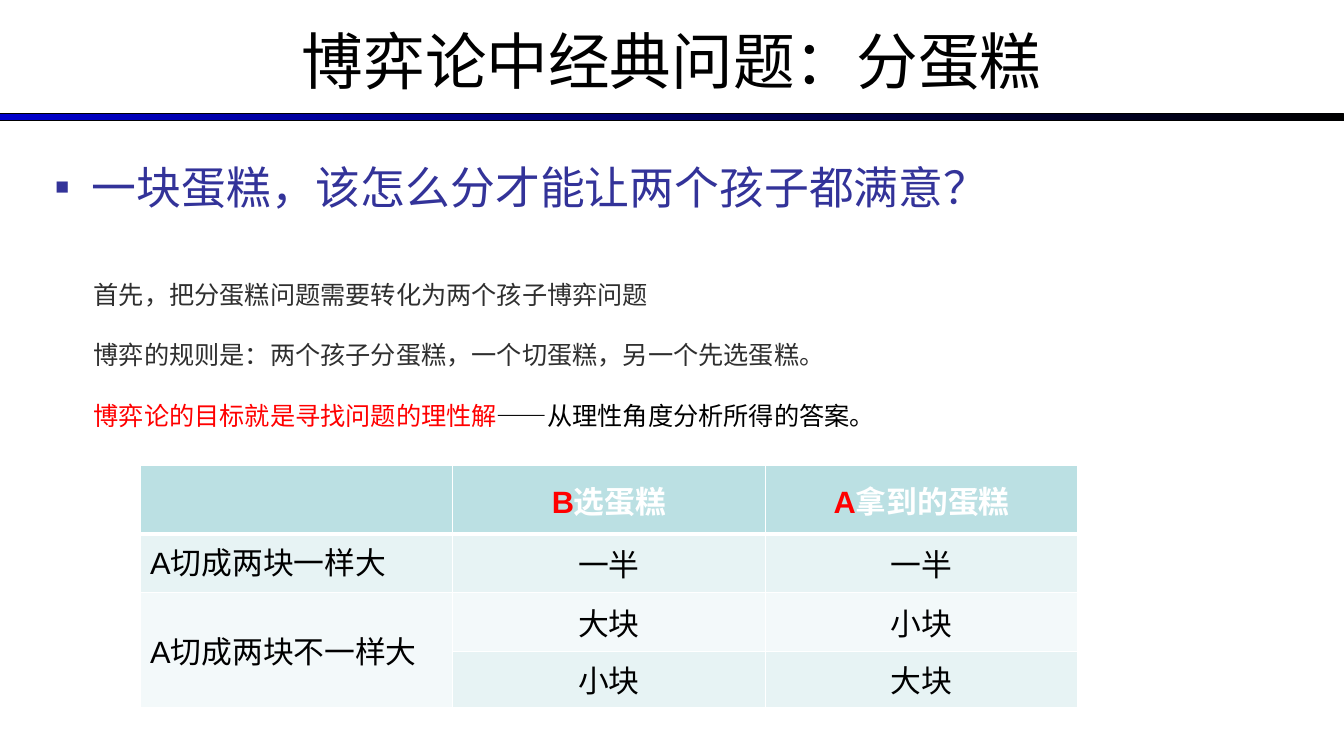
from lxml import etree
from pptx import Presentation
from pptx.dml.color import RGBColor
from pptx.enum.shapes import MSO_SHAPE
from pptx.enum.text import MSO_ANCHOR, MSO_AUTO_SIZE, PP_ALIGN
from pptx.oxml.ns import qn
from pptx.util import Inches, Pt

RECTANGLE = MSO_SHAPE.RECTANGLE
TOP, MIDDLE = MSO_ANCHOR.TOP, MSO_ANCHOR.MIDDLE
LEFT, CENTER = PP_ALIGN.LEFT, PP_ALIGN.CENTER
NO_AUTOFIT = MSO_AUTO_SIZE.NONE

BLACK = RGBColor(0x00, 0x00, 0x00)
WHITE = RGBColor(0xFF, 0xFF, 0xFF)
RED = RGBColor(0xFF, 0x00, 0x00)
BLUE = RGBColor(0x00, 0x00, 0xCC)
INDIGO = RGBColor(0x33, 0x33, 0x99)
GREY = RGBColor(0x2F, 0x2F, 0x2F)
HEADER_TEAL = RGBColor(0xBB, 0xE0, 0xE3)
BAND_DARK = RGBColor(0xE7, 0xF3, 0xF4)
BAND_LIGHT = RGBColor(0xF3, 0xF9, 0xFA)

RULES = [
    [("首先，把分蛋糕问题需要转化为两个孩子博弈问题", "Calibri", GREY)],
    [("博弈的规则是：两个孩子分蛋糕，一个切蛋糕，另一个先选蛋糕。", "Calibri", GREY)],
    [("博弈论的目标就是寻找问题的理性解", "Arial", RED),
     ("——从理性角度分析所得的答案。", "Arial", BLACK)],
]
HEADER = [[], [("B", RED), ("选蛋糕", WHITE)], [("A", RED), ("拿到的蛋糕", WHITE)]]
OUTCOMES = [
    ("A切成两块一样大", "一半", "一半"),
    ("A切成两块不一样大", "大块", "小块"),
    ("", "小块", "大块"),
]
ROW_FILLS = [HEADER_TEAL, BAND_DARK, BAND_LIGHT, BAND_DARK]
COLUMN_WIDTHS = [3.1, 3.1, 3.1]
ROW_HEIGHTS = [0.68, 0.58, 0.58, 0.56]


def apply(target, values):
    for name, value in values.items():
        setattr(target, name, value)


def place(shape, left, top, width, height):
    apply(shape, {"left": Inches(left), "top": Inches(top),
                  "width": Inches(width), "height": Inches(height)})


def add_run(paragraph, text, size, font, color, bold=False):
    run = paragraph.add_run()
    run.text = text
    apply(run.font, {"size": Pt(size), "name": font, "bold": bold})
    run.font.color.rgb = color


def add_bullet(paragraph, character, color, indent):
    properties = paragraph._p.get_or_add_pPr()
    properties.set("marL", str(Inches(indent)))
    properties.set("indent", str(-Inches(indent)))
    bullet_color = etree.SubElement(properties, qn("a:buClr"))
    etree.SubElement(bullet_color, qn("a:srgbClr"), val=str(color))
    etree.SubElement(properties, qn("a:buFont"), typeface="Arial")
    etree.SubElement(properties, qn("a:buChar"), char=character)


def add_borders(cell, bottom_width):
    properties = cell._tc.get_or_add_tcPr()
    for side, width in {"L": 1, "R": 1, "T": 1, "B": bottom_width}.items():
        line = etree.SubElement(properties, qn(f"a:ln{side}"), w=str(Pt(width)))
        fill = etree.SubElement(line, qn("a:solidFill"))
        etree.SubElement(fill, qn("a:srgbClr"), val=str(WHITE))


class CakeSlide:
    def __init__(self, presentation):
        self.slide = presentation.slides.add_slide(presentation.slide_layouts[1])
        self.font = "Calibri"
        self.table_style = {"size": 22, "font": "Arial"}

    def divider(self, left, top, width, height):
        shape = self.slide.shapes.add_shape(
            RECTANGLE, Inches(left), Inches(top), Inches(width), Inches(height))
        shape.shadow.inherit = False
        shape.fill.gradient()
        shape.fill.gradient_angle = 0
        for stop, color, position in zip(shape.fill.gradient_stops, (BLUE, BLACK), (0, 1)):
            stop.color.rgb = color
            stop.position = position
        shape.line.color.rgb = BLACK
        shape.line.width = Pt(0.75)

    def title(self, text, *box):
        shape = self.slide.shapes.title
        place(shape, *box)
        apply(shape.text_frame, {"vertical_anchor": MIDDLE, "auto_size": NO_AUTOFIT})
        paragraph = shape.text_frame.paragraphs[0]
        paragraph.alignment = CENTER
        add_run(paragraph, text, 44, self.font, BLACK)

    def question(self, text, *box):
        shape = self.slide.placeholders[1]
        place(shape, *box)
        apply(shape.text_frame, {"vertical_anchor": TOP, "auto_size": NO_AUTOFIT})
        paragraph = shape.text_frame.paragraphs[0]
        add_bullet(paragraph, "▪", INDIGO, 0.37)
        paragraph.space_before = Pt(0)
        add_run(paragraph, text, 32, self.font, INDIGO)

    def explanation(self, lines, left, top, width, height):
        frame = self.slide.shapes.add_textbox(
            Inches(left), Inches(top), Inches(width), Inches(height)).text_frame
        frame.word_wrap = True
        for index, line in enumerate(lines):
            paragraph = frame.add_paragraph() if index else frame.paragraphs[0]
            paragraph.line_spacing = 2.0
            for text, font, color in line:
                add_run(paragraph, text, 18, font, color)

    def outcome_table(self, rows, left, top):
        table = self.slide.shapes.add_table(
            len(rows), len(COLUMN_WIDTHS), Inches(left), Inches(top),
            Inches(sum(COLUMN_WIDTHS)), Inches(sum(ROW_HEIGHTS))).table
        for column, width in zip(table.columns, COLUMN_WIDTHS):
            column.width = Inches(width)
        for row, height in zip(table.rows, ROW_HEIGHTS):
            row.height = Inches(height)
        for row_index, row in enumerate(rows):
            for column_index, runs in enumerate(row):
                cell = table.cell(row_index, column_index)
                add_borders(cell, 1 if row_index else 3)
                cell.fill.solid()
                cell.fill.fore_color.rgb = ROW_FILLS[row_index]
                cell.vertical_anchor = MIDDLE
                paragraph = cell.text_frame.paragraphs[0]
                paragraph.alignment = CENTER if column_index else LEFT
                for text, color in runs:
                    add_run(paragraph, text, color=color, bold=row_index == 0,
                            **self.table_style)
        table.cell(1, 0).vertical_anchor = TOP
        table.cell(2, 0).merge(table.cell(3, 0))


def main():
    presentation = Presentation()
    presentation.slide_width = Inches(13.33)
    presentation.slide_height = Inches(7.5)
    cake = CakeSlide(presentation)
    cake.divider(0, 1.13, 13.33, 0.07)
    cake.title("博弈论中经典问题：分蛋糕", 0, -0.03, 13.33, 1.25)
    cake.question("一块蛋糕，该怎么分才能让两个孩子都满意？", 0.44, 1.53, 12.44, 5.17)
    cake.explanation(RULES, 0.83, 2.42, 10.42, 2.52)
    body = [[[(text, BLACK)] if text else [] for text in row] for row in OUTCOMES]
    cake.outcome_table([HEADER] + body, 1.39, 4.62)
    presentation.save("out.pptx")


if __name__ == "__main__":
    main()
